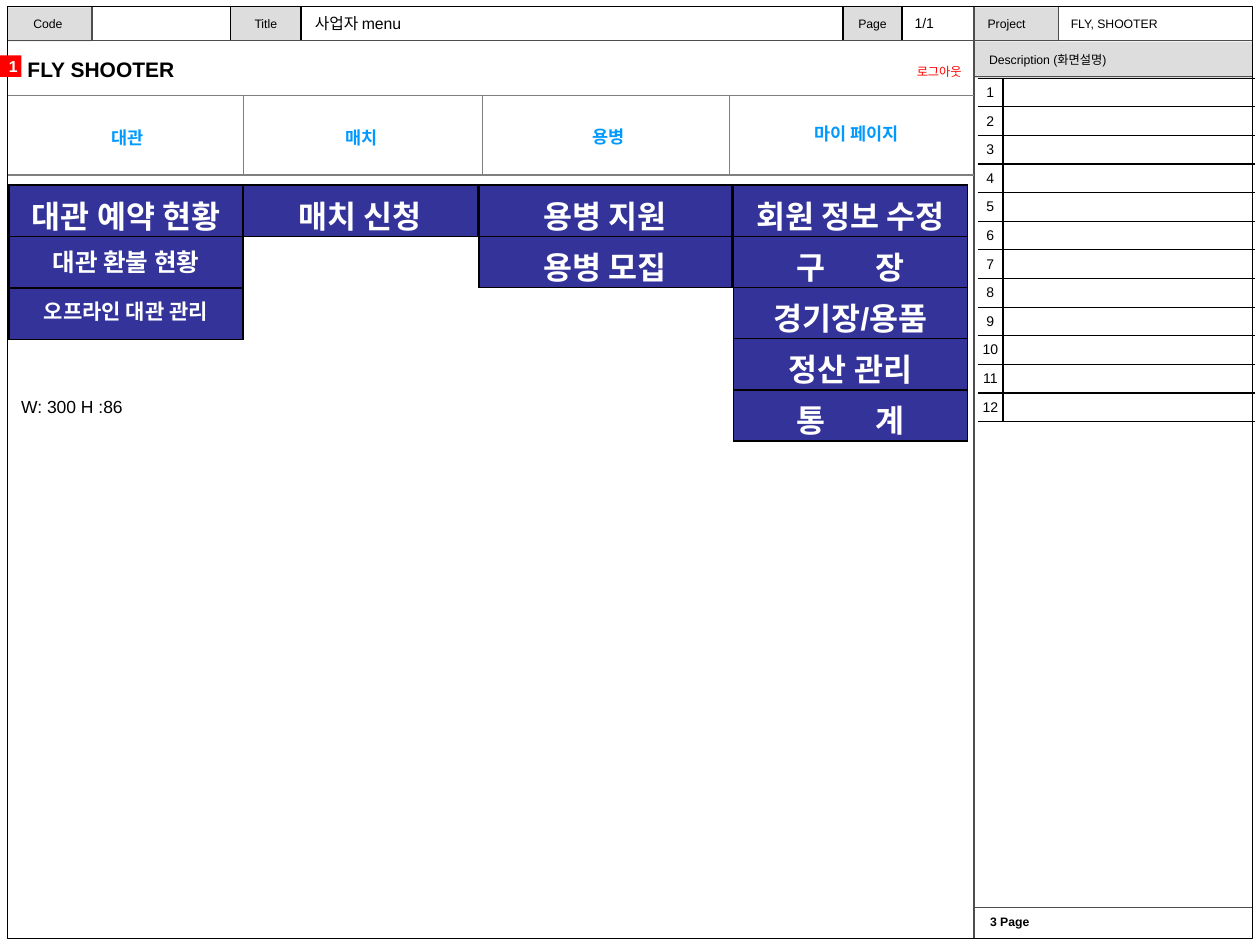
from dataclasses import dataclass

from lxml.etree import SubElement
from pptx import Presentation
from pptx.dml.color import RGBColor
from pptx.enum.shapes import MSO_CONNECTOR, MSO_SHAPE
from pptx.enum.text import MSO_ANCHOR as ANCHOR, PP_ALIGN as ALIGN
from pptx.oxml.ns import qn
from pptx.util import Inches, Pt


@dataclass(frozen=True)
class Theme:
    """Colours, type sizes and font of the wireframe."""
    font: str = "Arial"
    black: str = "000000"
    white: str = "FFFFFF"
    red: str = "FF0000"
    label: str = "DDDDDD"
    frame: str = "4D4D4D"
    rule: str = "7F7F7F"
    tab: str = "0099FF"
    menu: str = "333399"
    tiny: int = 7
    small: int = 8
    body: int = 9
    nav: int = 10
    brand: int = 12
    offline: int = 12
    refund: int = 14
    item: int = 18


T = Theme()
NO_STYLE = "{2D5ABB26-0587-4C30-8999-92F81FD0307C}"
GAP_SPACING = "2500"


def rgb(code):
    """Turn a hex code into a colour."""
    return RGBColor.from_string(code)


def write(tf, text, size, color=T.black, bold=False, align=ALIGN.LEFT):
    """Write one paragraph, where a tuple is words with a wide gap between."""
    p = tf.paragraphs[0]
    p.alignment = align
    parts = [text] if isinstance(text, str) else [text[0], " ", text[1]]
    for part in parts:
        r = p.add_run()
        r.text = part
        r.font.name, r.font.size, r.font.bold = T.font, Pt(size), bold
        r.font.color.rgb = rgb(color)
        if part == " ":
            r.font._element.set("spc", GAP_SPACING)


def add_text(s, x, y, w, h, text, size, anchor=ANCHOR.TOP, left=0.1, **style):
    """Add a wrapping text box."""
    tf = s.shapes.add_textbox(Inches(x), Inches(y), Inches(w), Inches(h)).text_frame
    tf.word_wrap = True
    tf.vertical_anchor = anchor
    tf.margin_left = Inches(left)
    write(tf, text, size, **style)


def add_box(s, x, y, w, h, fill=None, line=None, text=None, size=T.tiny, left=0.1, **style):
    """Add a rectangle with optional fill, outline and text."""
    sp = s.shapes.add_shape(MSO_SHAPE.RECTANGLE, Inches(x), Inches(y), Inches(w), Inches(h))
    sp.shadow.inherit = False
    if fill:
        sp.fill.solid()
        sp.fill.fore_color.rgb = rgb(fill)
    else:
        sp.fill.background()
    if line:
        sp.line.color.rgb = rgb(line)
        sp.line.width = Pt(0.75)
    else:
        sp.line.fill.background()
    if text:
        tf = sp.text_frame
        tf.vertical_anchor = ANCHOR.MIDDLE
        tf.margin_left = Inches(left)
        write(tf, text, size, **style)


def add_line(s, x1, y1, x2, y2, color=T.frame):
    """Add a thin straight line."""
    line = s.shapes.add_connector(
        MSO_CONNECTOR.STRAIGHT, Inches(x1), Inches(y1), Inches(x2), Inches(y2))
    line.line.color.rgb = rgb(color)
    line.line.width = Pt(0.75)
    SubElement(line._element.spPr, qn("a:effectLst"))


def add_borders(cell, sides, width):
    """Draw black borders on the given sides of a cell."""
    tc_pr = cell._tc.get_or_add_tcPr()
    for side in sides:
        ln = SubElement(tc_pr, qn(f"a:ln{side}"), w=str(Pt(width)))
        SubElement(SubElement(ln, qn("a:solidFill")), qn("a:srgbClr"), val=T.black)


def add_table(s, x, y, widths, row_h, rows):
    """Add a table without a style and return it."""
    tbl = s.shapes.add_table(rows, len(widths), Inches(x), Inches(y),
                             Inches(sum(widths)), Inches(row_h * rows)).table
    tbl.first_row = tbl.horz_banding = False
    tbl._tbl.tblPr.find(qn("a:tableStyleId")).text = NO_STYLE
    for col, w in zip(tbl.columns, widths):
        col.width = Inches(w)
    for row in tbl.rows:
        row.height = Inches(row_h)
    return tbl


def header(s, x, y, w, h):
    """Place the strip with code, title, page and project."""
    side = x + 7.67
    for left, width, text in ((x + 6.63, 0.47, "Page"), (x + 1.77, 0.56, "Title")):
        add_box(s, left, y, width, h, T.label, T.black, text, align=ALIGN.CENTER)
    for left in (x, side):
        add_box(s, left, y + 0.01, 0.67, h, T.label)
    add_text(s, x, y, 0.64, h, "Code", T.tiny, ANCHOR.MIDDLE, align=ALIGN.CENTER)
    add_text(s, side + 0.01, y + 0.03, 0.66, 0.24, "Project", T.tiny)
    add_text(s, side + 0.67, y + 0.03, 1.5, 0.24, "FLY, SHOOTER", T.tiny)
    add_text(s, x + 2.34, y, 4.25, h, "사업자 menu", T.body, ANCHOR.MIDDLE)
    add_text(s, x + 7.1, y, 0.52, h, "1/1", T.small, ANCHOR.MIDDLE)
    add_line(s, x, y + h, x + w, y + h)
    for left in (x + 0.67, side + 0.67):
        add_line(s, left, y, left, y + h)


def description(s, x, y, w, h):
    """Place the side panel with its numbered table and page footer."""
    add_box(s, x, y, w, 0.29, T.label, text="Description (화면설명)", left=0.12)
    for top in (y + 0.28, y + 6.87):
        add_line(s, x, top, x + w, top)
    add_line(s, x, 0.05, x, y + h)
    add_text(s, x + 0.03, y + 6.88, 2.14, 0.24, "3 Page", T.tiny, bold=True)
    count = 12
    tbl = add_table(s, x + 0.03, y + 0.29, (0.2, 2), 2.73 / count, count)
    for i, row in enumerate(tbl.rows, 1):
        number, note = row.cells
        for cell, sides in ((number, "RTB"), (note, "LTB")):
            add_borders(cell, sides, 0.75)
            cell.fill.background()
            cell.vertical_anchor = ANCHOR.MIDDLE
            cell.margin_left = cell.margin_right = Inches(0.02)
            cell.margin_top = cell.margin_bottom = Inches(0.03)
        write(number.text_frame, str(i), T.small, align=ALIGN.CENTER)
        end = note.text_frame.paragraphs[0]._p.get_or_add_endParaRPr()
        end.set("sz", str(T.small * 100))


def navigation(s, x, y, w, h):
    """Place the service name, log-out label and main tabs."""
    tabs_y, bottom = y + 0.43, y + h
    add_text(s, x + 0.06, y + 0.07, 6.23, 0.3, "FLY SHOOTER", T.brand, ANCHOR.MIDDLE, bold=True)
    add_text(s, x + w - 1.08, y + 0.13, 1.08, 0.22, "로그아웃", T.tiny,
             color=T.red, align=ALIGN.RIGHT)
    for top in (tabs_y, bottom):
        add_line(s, x, top, x + w, top, T.rule)
    for offset in (1.87, 3.77, 5.73):
        add_line(s, x + offset, tabs_y, x + offset, bottom, T.rule)
    tabs = (("대관", 0.02, 0.2), ("매치", 1.88, 0.2),
            ("용병", 3.84, 0.19), ("마이 페이지", 5.81, 0.17))
    for text, dx, dy in tabs:
        add_text(s, x + dx, tabs_y + dy, 1.86, 0.27, text, T.nav,
                 color=T.tab, bold=True, align=ALIGN.CENTER)


def menu_column(s, x, y, w, items):
    """Place one drop-down column of menu items."""
    tbl = add_table(s, x, y, (w,), 0.406, len(items))
    for row, (text, size) in zip(tbl.rows, items):
        cell = row.cells[0]
        add_borders(cell, "LRTB", 1)
        cell.fill.solid()
        cell.fill.fore_color.rgb = rgb(T.menu)
        write(cell.text_frame, text, size, T.white, True, ALIGN.CENTER)


def menus(s, x, y):
    """Place the four drop-down menus and the size remark."""
    columns = (
        (0, 0, 1.86, [("대관 예약 현황", T.item), ("대관 환불 현황", T.refund)]),
        (1.86, 0, 1.86, [("매치 신청", T.item)]),
        (3.73, 0, 2.01, [("용병 지원", T.item), ("용병 모집", T.item)]),
        (5.75, 0, 1.86, [(text, T.item) for text in (
            "회원 정보 수정", ("구", "장"), "경기장/용품", "정산 관리", ("통", "계"))]),
        (0, 0.82, 1.86, [("오프라인 대관 관리", T.offline)]),
    )
    for dx, dy, w, items in columns:
        menu_column(s, x + dx, y + dy, w, items)
    add_text(s, x, y + 1.62, 1.18, 0.27, "W: 300 H :86", T.nav)


def main():
    """Build the menu wireframe slide."""
    prs = Presentation()
    prs.slide_width, prs.slide_height = Inches(10), Inches(7.5)
    s = prs.slides.add_slide(prs.slide_layouts[6])
    header(s, 0.06, 0.05, 9.88, 0.27)
    description(s, 7.73, 0.33, 2.21, 7.12)
    add_box(s, 0.06, 0.05, 9.88, 7.4, line=T.black)
    navigation(s, 0.06, 0.33, 7.67, 1.06)
    add_box(s, 0, 0.44, 0.17, 0.17, T.red, text="1", size=T.body,
            color=T.white, bold=True, align=ALIGN.CENTER)
    menus(s, 0.07, 1.47)
    prs.save("out.pptx")


if __name__ == "__main__":
    main()
